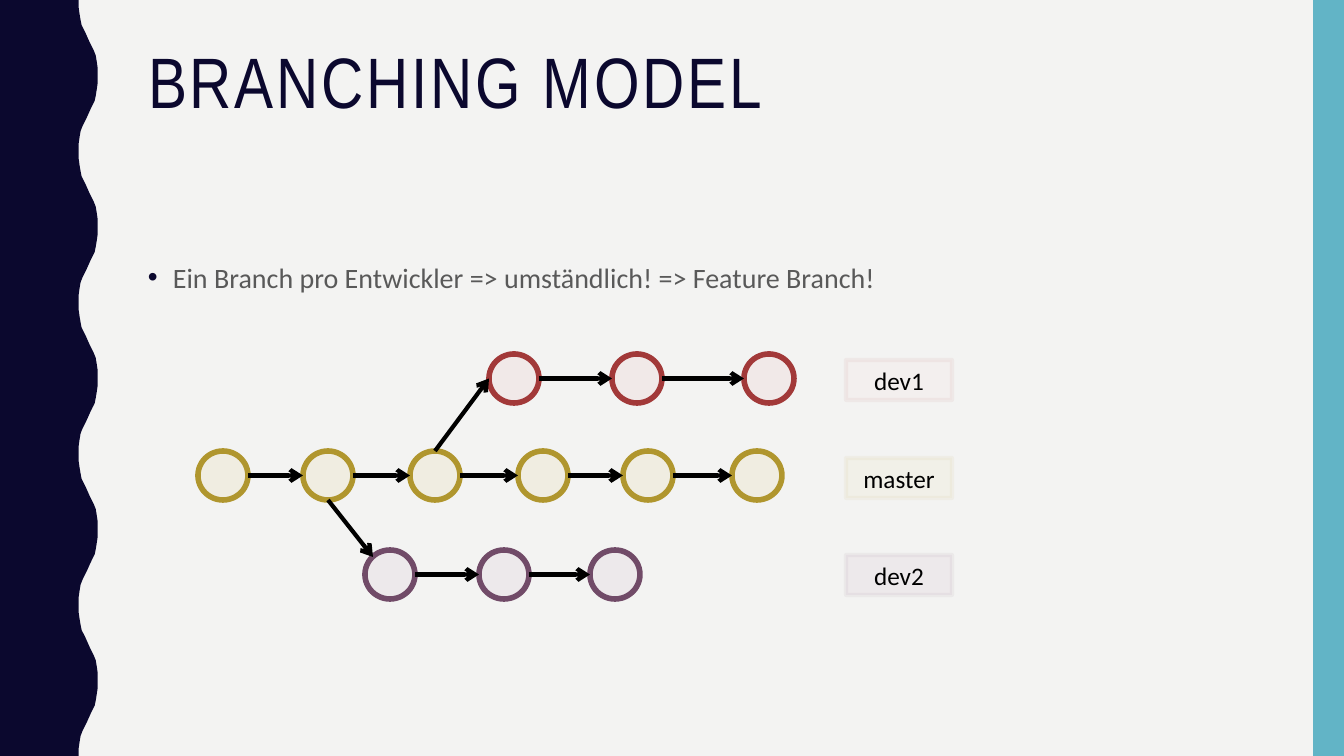
from itertools import pairwise

from lxml import etree
from pptx import Presentation
from pptx.dml.color import RGBColor
from pptx.enum import shapes, text
from pptx.oxml.ns import qn
from pptx.util import Pt

PX = 914400 / 100.8
WIDTH, HEIGHT = 1344, 756
RING_W, RING_H = 50, 49

PAPER = RGBColor(0xF3, 0xF3, 0xF2)
NAVY = RGBColor(0x0B, 0x08, 0x2E)
TEAL = RGBColor(0x62, 0xB4, 0xC6)
GREY = RGBColor(0x59, 0x59, 0x59)
BLACK = RGBColor(0, 0, 0)
RED, ROSE, BLUSH = (RGBColor.from_string(c) for c in ("A23939", "E8BFBF", "F4DFDF"))
GOLD, SAND, CREAM = (RGBColor.from_string(c) for c in ("B0962E", "E5D699", "EDE3BB"))
PLUM, LILAC = (RGBColor.from_string(c) for c in ("714B68", "D5C1D0"))

# Half a wave of the left border, (x, y) in hundredths of an inch
HALF_WAVE = [(78, 0), (78, 7), (79, 14), (80, 20), (81, 25), (83, 29),
             (85, 33), (89, 42), (93, 50), (95, 55), (96, 61), (97, 68)]

# name, ring top, ring lefts, line, ring fill, label top, label fill
BRANCHES = [
    ("dev1", 354, [489, 612, 744], RED, ROSE, 360, BLUSH),
    ("master", 451, [198, 303, 410, 518, 623, 732], GOLD, SAND, 458, CREAM),
    ("dev2", 550, [365, 479, 590], PLUM, LILAC, 555, LILAC),
]


def px(n):
    return round(n * PX)


def set_alpha(fill, percent):
    color = fill._xPr.find(qn("a:solidFill"))[0]
    etree.SubElement(color, qn("a:alpha"), val=str(percent * 1000))


def paint(sp, fill, alpha=None, line=None, width=0, line_alpha=None):
    sp.shadow.inherit = False
    sp.fill.solid()
    sp.fill.fore_color.rgb = fill
    if alpha:
        set_alpha(sp.fill, alpha)
    if line is None:
        sp.line.fill.background()
        return
    sp.line.color.rgb = line
    sp.line.width = Pt(width)
    if line_alpha:
        set_alpha(sp.line.fill, line_alpha)


def add_box(slide, kind, x, y, w, h, **look):
    sp = slide.shapes.add_shape(kind, px(x), px(y), px(w), px(h))
    paint(sp, **look)
    return sp


def write(sp, words, font="Calibri", size=18, color=BLACK, align=text.PP_ALIGN.LEFT,
          anchor=text.MSO_ANCHOR.TOP, leading=1.0, before=0, spacing=0):
    tf = sp.text_frame
    tf.word_wrap = True
    tf.auto_size = text.MSO_AUTO_SIZE.NONE
    tf.vertical_anchor = anchor
    p = tf.paragraphs[0]
    p.alignment, p.line_spacing, p.space_before = align, leading, Pt(before)
    r = p.add_run()
    r.text = words
    r.font.name, r.font.size, r.font.color.rgb = font, Pt(size), color
    if spacing:
        r._r.get_or_add_rPr().set("spc", str(spacing * 100))
    return p


def add_bullet(p, color, indent):
    pPr = p._p.get_or_add_pPr()
    pPr.set("marL", str(px(indent)))
    pPr.set("indent", str(-px(indent)))
    bu = etree.SubElement(pPr, qn("a:buClr"))
    etree.SubElement(bu, qn("a:srgbClr"), val=str(color))
    etree.SubElement(pPr, qn("a:buFont"), typeface="Arial")
    etree.SubElement(pPr, qn("a:buChar"), char="•")


def add_arrow(slide, x1, y1, x2, y2):
    line = slide.shapes.add_connector(
        shapes.MSO_CONNECTOR.STRAIGHT, px(x1), px(y1), px(x2), px(y2))
    line.line.color.rgb = BLACK
    line.line.width = Pt(3)
    etree.SubElement(line.line._get_or_add_ln(), qn("a:tailEnd"), type="arrow")
    etree.SubElement(line._element.spPr, qn("a:effectLst"))


def add_wave(slide):
    points = []
    for half in range(10):
        for x, y in HALF_WAVE:
            points.append((175 - x if half % 2 else x, 75 * half + y))
    points += [(78, 750), (0, 750)]
    outline = slide.shapes.build_freeform(0, 0, scale=9144)
    outline.add_line_segments(points, close=True)
    paint(outline.convert_to_shape(), NAVY)


def add_branch(slide, name, top, lefts, line, fill, label_top, label_fill):
    for x in lefts:
        add_box(slide, shapes.MSO_SHAPE.OVAL, x, top, RING_W, RING_H,
                fill=fill, alpha=18, line=line, width=4)
    middle = top + RING_H / 2
    for x, following in pairwise(lefts):
        add_arrow(slide, x + RING_W, middle, following, middle)
    label = add_box(slide, shapes.MSO_SHAPE.RECTANGLE, 846, label_top, 106, 40,
                    fill=label_fill, alpha=18, line=line, width=3, line_alpha=5)
    write(label, name, align=text.PP_ALIGN.CENTER, anchor=text.MSO_ANCHOR.MIDDLE)


def main():
    prs = Presentation()
    prs.slide_width, prs.slide_height = px(WIDTH), px(HEIGHT)
    slide = prs.slides.add_slide(prs.slide_layouts[5])

    # Background and borders
    slide.background.fill.solid()
    slide.background.fill.fore_color.rgb = PAPER
    add_wave(slide)
    add_box(slide, shapes.MSO_SHAPE.RECTANGLE, 1313, 0, 31, HEIGHT, fill=TEAL)

    # Title and bullet
    title = slide.shapes.title
    title.left, title.top, title.width, title.height = map(px, (138, 42, 1122, 164))
    write(title, "BRANCHING MODEL", font="Arial Narrow", size=51, color=NAVY,
          leading=0.9, spacing=2)
    body = slide.shapes.add_textbox(*map(px, (138, 252, 1122, 396)))
    p = write(body, "Ein Branch pro Entwickler => umständlich! => Feature Branch!",
              size=20, color=GREY, leading=1.1, before=7)
    add_bullet(p, NAVY, 25)

    # Branches with their commits
    for branch in BRANCHES:
        add_branch(slide, *branch)

    # Arrows from master to the developer branches
    (_, dev1_y, dev1_x, *_), (_, y, master_x, *_), (_, dev2_y, dev2_x, *_) = BRANCHES
    add_arrow(slide, master_x[2] + RING_W / 2, y, dev1_x[0], dev1_y + RING_H / 2)
    add_arrow(slide, master_x[1] + RING_W / 2, y + RING_H, dev2_x[0] + 8, dev2_y + 7)

    prs.save("out.pptx")


main()
